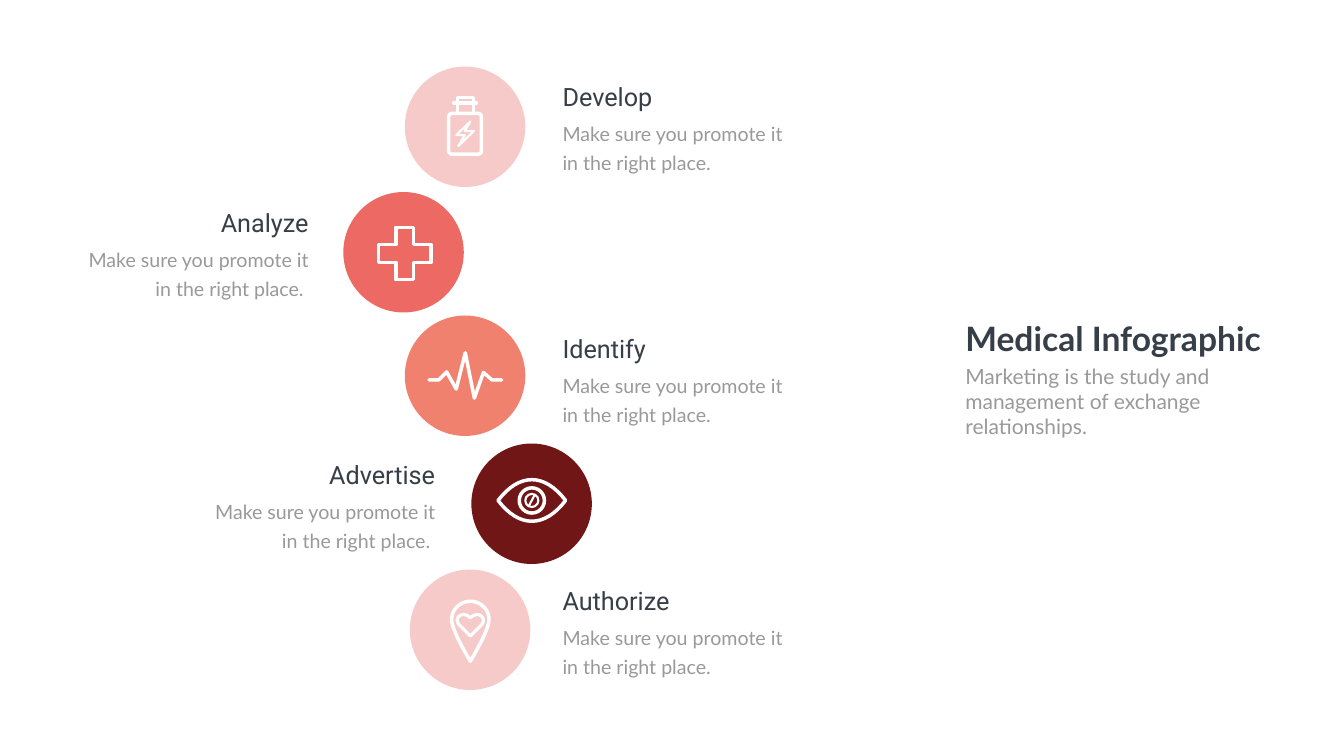
from lxml.etree import SubElement
from pptx import Presentation
from pptx.dml.color import RGBColor
from pptx.enum.shapes import MSO_CONNECTOR, MSO_SHAPE
from pptx.enum.text import PP_ALIGN
from pptx.oxml.ns import qn
from pptx.util import Inches, Pt

WHITE = RGBColor(0xFF, 0xFF, 0xFF)
DARK = RGBColor(0x36, 0x3E, 0x48)
GRAY = RGBColor(0x99, 0x99, 0x99)
PINK = RGBColor(0xF6, 0xCA, 0xC8)
RED = RGBColor(0xEC, 0x69, 0x64)
CORAL = RGBColor(0xF1, 0x81, 0x6F)
MAROON = RGBColor(0x71, 0x16, 0x16)
SIZE = 2.39
PROMPT = "Make sure you promote it in the right place."


def add_text(slide, box, words, font, size, color, align=PP_ALIGN.LEFT, bold=False, pitch=None):
    """Add a wrapped text box with one paragraph."""
    frame = slide.shapes.add_textbox(*map(Inches, box)).text_frame
    frame.word_wrap = True
    para = frame.paragraphs[0]
    para.text = words
    para.alignment = align
    if pitch:
        para.line_spacing = Pt(pitch)
    para.font.name = font
    para.font.size = Pt(size)
    para.font.bold = bold
    para.font.color.rgb = color


def add_step(slide, left, top, title, align):
    """Add a step title with its prompt below."""
    tail = " " if align == PP_ALIGN.RIGHT else ""
    add_text(slide, (left, top, 4.81, 0.71), title, "Roboto", 36, DARK, align)
    add_text(slide, (left, top + 0.71, 4.81, 1.19), PROMPT + tail, "Lato", 28, GRAY, align, pitch=40.8)


def add_disc(slide, left, top, color):
    """Add a filled circle without outline."""
    disc = slide.shapes.add_shape(MSO_SHAPE.OVAL, *map(Inches, (left, top, SIZE, SIZE)))
    disc.shadow.inherit = False
    disc.fill.solid()
    disc.fill.fore_color.rgb = color
    disc.line.fill.background()


def set_stroke(line, width):
    """Give a line a white stroke with round ends and joins."""
    line.color.rgb = WHITE
    line.width = Pt(width)
    node = line._get_or_add_ln()
    node.set("cap", "rnd")
    SubElement(node, qn("a:round"))


def add_ring(slide, kind, box, width=5, adjust=None):
    """Add a preset shape drawn as a white outline."""
    ring = slide.shapes.add_shape(kind, *map(Inches, box))
    if adjust is not None:
        ring.adjustments[0] = adjust
    ring.shadow.inherit = False
    ring.fill.background()
    set_stroke(ring.line, width)


def add_path(slide, points, width=5, close=True):
    """Add a white outline through the given points."""
    spots = [(Inches(x), Inches(y)) for x, y in points]
    maker = slide.shapes.build_freeform(*spots[0])
    maker.add_line_segments(spots[1:], close=close)
    path = maker.convert_to_shape()
    path.shadow.inherit = False
    path.fill.background()
    set_stroke(path.line, width)


def add_bar(slide, ends, width):
    """Add a straight white line."""
    bar = slide.shapes.add_connector(MSO_CONNECTOR.STRAIGHT, *map(Inches, ends))
    set_stroke(bar.line, width)
    SubElement(bar._element.spPr, qn("a:effectLst"))


def curve(a, b, c, d, steps=16):
    """Return points along a cubic curve."""
    times = [i / steps for i in range(steps + 1)]
    return [
        tuple((1 - t) ** 3 * p + 3 * t * (1 - t) ** 2 * q + 3 * t * t * (1 - t) * r + t ** 3 * s
              for p, q, r, s in zip(a, b, c, d))
        for t in times
    ]


def mirror(points, x):
    """Close a left half with its reflection about x."""
    return points + [(2 * x - px, py) for px, py in reversed(points[1:-1])]


def draw_flask(slide):
    """Draw the bottle with a bolt."""
    add_ring(slide, MSO_SHAPE.ROUNDED_RECTANGLE, (8.9, 2.25, 0.65, 0.81), adjust=0.1)
    add_ring(slide, MSO_SHAPE.RECTANGLE, (9.07, 1.93, 0.32, 0.32))
    add_bar(slide, (9, 2.04, 9.45, 2.04), 5)
    bolt = [(9.33, 2.41), (9.05, 2.68), (9.22, 2.68), (9.09, 2.9), (9.4, 2.6), (9.22, 2.6)]
    add_path(slide, bolt, 3)


def draw_pulse(slide):
    """Draw the heartbeat trace."""
    beat = [(8.51, 7.54), (8.7, 7.54), (8.86, 7.38), (9.05, 7.72), (9.23, 7),
            (9.41, 7.9), (9.59, 7.39), (9.76, 7.54), (9.95, 7.54)]
    add_path(slide, beat, close=False)


def draw_eye(slide):
    """Draw the eye with its pupil."""
    lid = curve((9.88, 9.93), (10.3, 9.38), (10.8, 9.38), (11.22, 9.93))
    add_path(slide, lid + [(x, 19.86 - y) for x, y in reversed(lid[1:-1])])
    for half, width in ((0.25, 5), (0.13, 3)):
        add_ring(slide, MSO_SHAPE.OVAL, (10.55 - half, 9.93 - half, 2 * half, 2 * half), width)
    add_bar(slide, (10.5, 10.02, 10.6, 9.83), 3)


def draw_pin(slide):
    """Draw the map pin with a heart."""
    side = curve((9.33, 13.12), (9.2, 12.9), (8.96, 12.48), (8.96, 12.29))
    dome = curve((8.96, 12.29), (8.96, 12.09), (9.13, 11.93), (9.33, 11.93))
    add_path(slide, mirror(side + dome[1:], 9.33))
    lobe = curve((9.12, 12.41), (8.98, 12.27), (9.17, 12.1), (9.33, 12.26))
    add_path(slide, mirror([(9.33, 12.62)] + lobe, 9.33), 4.5)


def main():
    """Build the slide and save it."""
    deck = Presentation()
    deck.slide_width, deck.slide_height = Inches(26.66), Inches(15)
    slide = deck.slides.add_slide(deck.slide_layouts[6])
    left, right = PP_ALIGN.LEFT, PP_ALIGN.RIGHT
    steps = [
        ("Develop", 11.06, left, 8.03, 1.32, PINK),
        ("Analyze", 1.41, right, 6.81, 3.81, RED),
        ("Identify", 11.06, left, 8.03, 6.26, CORAL),
        ("Advertise", 3.92, right, 9.35, 8.8, MAROON),
        ("Authorize", 11.06, left, 8.13, 11.3, PINK),
    ]
    for i, (title, x, align, disc_x, disc_y, color) in enumerate(steps):
        add_disc(slide, disc_x, disc_y, color)
        add_step(slide, x, 1.56 + 2.5 * i, title, align)
    draw_flask(slide)
    add_ring(slide, MSO_SHAPE.CROSS, (7.51, 4.51, 1.04, 1.04), adjust=0.33)
    draw_pulse(slide)
    draw_eye(slide)
    draw_pin(slide)
    add_text(slide, (19.05, 6.25, 7.15, 0.91), "Medical Infographic", "Lato", 48, DARK, bold=True)
    add_text(slide, (19.05, 7.16, 5.96, 1.62),
             "Marketing is the study and management of exchange relationships.", "Lato", 30, GRAY)
    deck.save("out.pptx")


if __name__ == "__main__":
    main()
